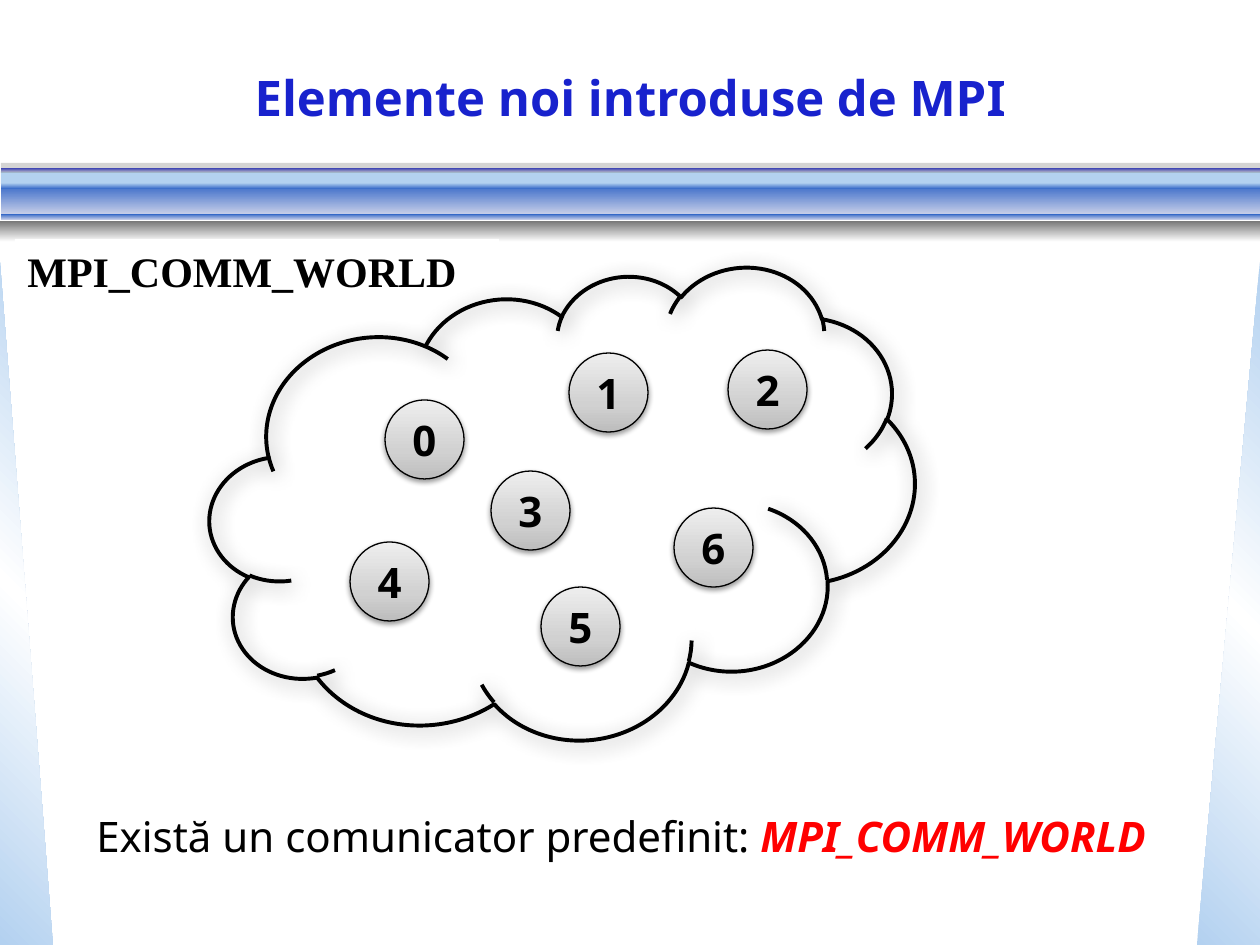
from dataclasses import dataclass

from pptx import Presentation
from pptx.dml.color import RGBColor
from pptx.enum.shapes import MSO_SHAPE as Shape
from pptx.enum.text import MSO_ANCHOR as Anchor, PP_ALIGN as Align
from pptx.oxml import parse_xml
from pptx.oxml.ns import nsdecls, qn
from pptx.util import Emu, Pt

PX_PER_INCH = 126
WIDTH, HEIGHT = 1260, 945


def px(length):
    return Emu(round(length * 914400 / PX_PER_INCH))


@dataclass(frozen=True)
class Theme:
    font: str = "Noto Sans"
    label_font: str = "Times New Roman"
    title_size: int = 28
    text_size: int = 24
    black: str = "000000"
    white: str = "FFFFFF"
    red: str = "FF0000"
    title_blue: str = "1822CD"
    pale_blue: str = "B3D1F0"
    mid_blue: str = "3568C7"
    lavender: str = "CAD0E9"
    lilac: str = "BABBE7"
    gray: str = "777777"
    node_stops: tuple = ((0, "BDBDBD"), (35, "D1D1D1"), (100, "EEEEEE"))


class SlideBuilder:
    def __init__(self, slide, theme):
        self.slide = slide
        self.theme = theme

    def gradient(self, shape, stops, angle):
        """Fill with (percent, colour) stops; the angle runs clockwise."""
        stop_xml = "".join(
            f'<a:gs pos="{percent * 1000}"><a:srgbClr val="{color}"/></a:gs>'
            for percent, color in stops)
        shape.fill.background()
        properties = shape.element.spPr
        properties.replace(properties.find(qn("a:noFill")), parse_xml(
            f'<a:gradFill {nsdecls("a")} rotWithShape="1"><a:gsLst>{stop_xml}</a:gsLst>'
            f'<a:lin ang="{angle * 60000}" scaled="0"/></a:gradFill>'))

    def shadow(self, shape, alpha, blur, distance, angle):
        effects = shape.element.spPr.find(qn("a:effectLst"))
        effects.append(parse_xml(
            f'<a:outerShdw {nsdecls("a")} blurRad="{Pt(blur)}" dist="{Pt(distance)}" '
            f'dir="{angle * 60000}" rotWithShape="0"><a:srgbClr val="{self.theme.black}">'
            f'<a:alpha val="{alpha * 1000}"/></a:srgbClr></a:outerShdw>'))

    def shape(self, kind, box, color=None, stops=None, angle=90, line=None, flip=None):
        shape = self.slide.shapes.add_shape(kind, *map(px, box))
        shape.shadow.inherit = False
        if stops:
            self.gradient(shape, stops, angle)
        elif color:
            shape.fill.solid()
            shape.fill.fore_color.rgb = RGBColor.from_string(color)
        else:
            shape.fill.background()
        if line:
            shape.line.color.rgb = RGBColor.from_string(self.theme.black)
            shape.line.width = Pt(line)
        else:
            shape.line.fill.background()
        if flip:
            shape.element.spPr.find(qn("a:xfrm")).set(flip, "1")
        return shape

    def run(self, paragraph, text, color, size=None, font=None, bold=False, italic=False):
        run = paragraph.add_run()
        run.text = text
        run.font.name = font or self.theme.font
        run.font.size = Pt(size or self.theme.text_size)
        run.font.bold = bold
        run.font.italic = italic
        run.font.color.rgb = RGBColor.from_string(color)

    def bar(self, left, top, height, color=None, stops=None, flip=None):
        return self.shape(Shape.RECTANGLE, (left, top, WIDTH - left, height),
                          color, stops, flip=flip)

    def node(self, label, left, top, size=79):
        circle = self.shape(Shape.OVAL, (left, top, size, size),
                            stops=self.theme.node_stops, angle=270, line=0.75)
        self.shadow(circle, 38, 3.1, 1.6, 90)
        frame = circle.text_frame
        frame.word_wrap = False
        frame.vertical_anchor = Anchor.MIDDLE
        paragraph = frame.paragraphs[0]
        paragraph.alignment = Align.CENTER
        self.run(paragraph, label, self.theme.black, bold=True)

    def label(self, text, box):
        frame = self.shape(Shape.RECTANGLE, box, self.theme.white).text_frame
        frame.word_wrap = True
        frame.vertical_anchor = Anchor.TOP
        paragraph = frame.paragraphs[0]
        paragraph.alignment = Align.LEFT
        self.run(paragraph, text, self.theme.black, font=self.theme.label_font, bold=True)

    def statement(self, text, emphasis, box, indent):
        frame = self.slide.shapes.add_textbox(*map(px, box)).text_frame
        frame.word_wrap = True
        paragraph = frame.paragraphs[0]
        properties = paragraph._p.get_or_add_pPr()
        properties.set("marL", str(px(indent)))
        properties.set("indent", str(-px(indent)))
        self.run(paragraph, text, self.theme.black)
        self.run(paragraph, emphasis, self.theme.red, bold=True, italic=True)

    def title(self, text, box):
        title = self.slide.shapes.title
        title.left, title.top, title.width, title.height = map(px, box)
        title.text_frame.word_wrap = True
        title.text_frame.vertical_anchor = Anchor.MIDDLE
        paragraph = title.text_frame.paragraphs[0]
        paragraph.alignment = Align.CENTER
        self.run(paragraph, text, self.theme.title_blue, self.theme.title_size, bold=True)

    def cloud(self, box, rotation):
        cloud = self.shape(Shape.CLOUD, box, line=2.25)
        cloud.rotation = rotation
        self.shadow(cloud, 40, 12, 3, 45)


def draw_background(builder):
    theme = builder.theme
    side_stops = ((0, theme.pale_blue), (50, theme.white), (100, theme.pale_blue))
    for left, width, angle, flip in ((0, 53, 315, None), (1197, 63, 45, "flipH")):
        builder.shape(Shape.RIGHT_TRIANGLE, (left, 262, width, HEIGHT - 262),
                      stops=side_stops, angle=angle, flip=flip)
    builder.bar(1, 171, 13, theme.pale_blue)
    for left, top, height, start, end, flip in (
            (1, 184, 31, theme.mid_blue, theme.lavender, None),
            (1, 168, 4, theme.title_blue, theme.lilac, None),
            (1, 214, 6, theme.lavender, theme.mid_blue, "flipV"),
            (1, 183, 6, theme.pale_blue, theme.mid_blue, None),
            (0, 221, 21, theme.gray, theme.white, None)):
        builder.bar(left, top, height, stops=((0, start), (100, end)), flip=flip)
    top_edge = builder.bar(1, 163, 10, theme.gray)
    color = top_edge.element.spPr.find(qn("a:solidFill"))[0]
    color.append(parse_xml(f'<a:alpha {nsdecls("a")} val="31000"/>'))


def main():
    presentation = Presentation()
    presentation.slide_width, presentation.slide_height = px(WIDTH), px(HEIGHT)
    slide = presentation.slides.add_slide(presentation.slide_layouts[5])
    builder = SlideBuilder(slide, Theme())

    draw_background(builder)
    nodes = {"0": (385, 400), "1": (569, 353), "3": (491, 471), "4": (350, 542),
             "5": (541, 587), "6": (674, 508), "2": (728, 350)}
    for label, (left, top) in nodes.items():
        builder.node(label, left, top)
    builder.label("MPI_COMM_WORLD", (15, 239, 484, 63))
    builder.statement("Există un comunicator predefinit: ", "MPI_COMM_WORLD",
                      (84, 804, 1081, 115), indent=73)
    builder.title("Elemente noi introduse de MPI", (63, 63, 1134, 67))
    builder.cloud((210, 281, 706, 459), rotation=355.5)
    presentation.save("out.pptx")


if __name__ == "__main__":
    main()
